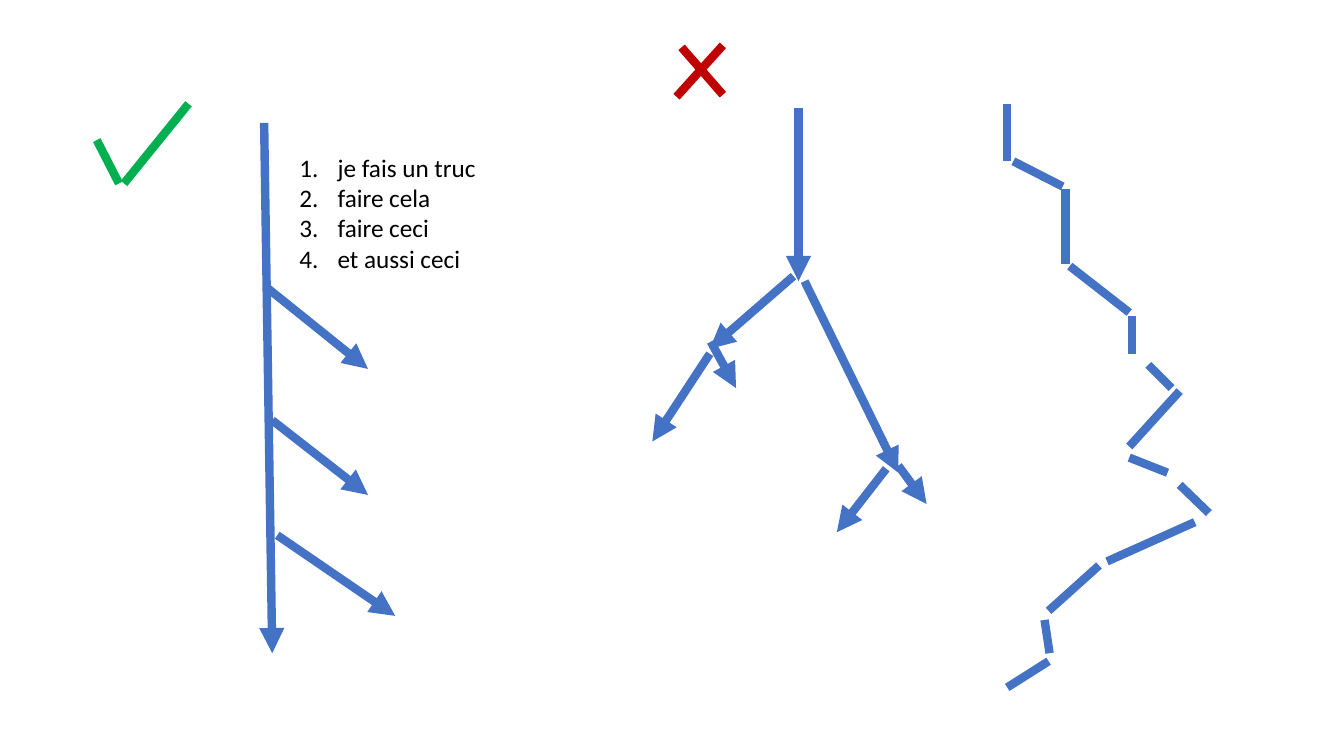
from dataclasses import dataclass

from lxml.etree import SubElement
from pptx import Presentation
from pptx.dml.color import RGBColor
from pptx.enum.shapes import MSO_CONNECTOR as Connector
from pptx.enum.text import MSO_AUTO_SIZE as AutoSize
from pptx.oxml.ns import qn
from pptx.util import Inches, Pt


@dataclass(frozen=True)
class Theme:
    font: str = "Calibri"
    text_size: int = 18
    line_width: int = 6
    text: str = "000000"
    flow: str = "4472C4"
    good: str = "00B050"
    bad: str = "C00000"


THEME = Theme()

STEPS = ["je fais un truc", "faire cela", "faire ceci", "et aussi ceci"]

# Strokes are (start x, start y, end x, end y) in inches
TICK = [(0.96, 1.39, 1.18, 1.82), (1.23, 1.82, 1.87, 1.03)]
CROSS = [(6.76, 0.47, 7.17, 0.94), (7.17, 0.45, 6.71, 0.96)]
MAIN_PATH = [
    (2.62, 1.22, 2.70, 6.48),
    (2.63, 2.84, 3.65, 3.66),
    (2.70, 4.17, 3.65, 4.91),
    (2.75, 5.31, 3.92, 6.11),
]
BRANCHING_TREE = [
    (7.92, 1.07, 7.92, 2.79),
    (7.87, 2.74, 7.04, 3.46),
    (7.98, 2.79, 8.91, 4.69),
    (7.04, 3.51, 6.47, 4.38),
    (7.05, 3.39, 7.30, 3.85),
    (8.79, 4.65, 8.30, 5.28),
    (8.91, 4.62, 9.19, 5.00),
]
WANDERING_PATH = [
    (9.99, 1.03, 9.99, 1.60),
    (10.05, 1.60, 10.54, 1.85),
    (10.57, 1.88, 10.57, 2.62),
    (10.61, 2.64, 11.20, 3.10),
    (11.23, 3.14, 11.23, 3.51),
    (11.39, 3.62, 11.62, 3.85),
    (11.70, 3.88, 11.20, 4.43),
    (11.20, 4.54, 11.58, 4.69),
    (11.70, 4.81, 11.99, 5.09),
    (11.85, 5.18, 10.98, 5.57),
    (10.90, 5.61, 10.40, 6.06),
    (10.36, 6.15, 10.41, 6.48),
    (10.40, 6.56, 9.99, 6.82),
]


def add_text(paragraph, text, *, size=THEME.text_size, color=THEME.text):
    run = paragraph.add_run()
    run.text = text
    run.font.name = THEME.font
    run.font.size = Pt(size)
    run.font.color.rgb = RGBColor.from_string(color)


def number_paragraph(paragraph, indent):
    properties = paragraph._p.get_or_add_pPr()
    properties.set("marL", str(indent))
    properties.set("indent", str(-indent))
    SubElement(properties, qn("a:buFont"), typeface="+mj-lt")
    SubElement(properties, qn("a:buAutoNum"), type="arabicPeriod")


def add_numbered_list(slide, items, left, top, width, height):
    box = slide.shapes.add_textbox(
        Inches(left), Inches(top), Inches(width), Inches(height))
    frame = box.text_frame
    frame.word_wrap = False
    frame.auto_size = AutoSize.SHAPE_TO_FIT_TEXT
    for index, item in enumerate(items):
        paragraph = frame.add_paragraph() if index else frame.paragraphs[0]
        number_paragraph(paragraph, Inches(0.38))
        add_text(paragraph, item)


def add_strokes(slide, strokes, color, arrow=False):
    for stroke in strokes:
        connector = slide.shapes.add_connector(
            Connector.STRAIGHT, *(Inches(value) for value in stroke))
        connector.line.color.rgb = RGBColor.from_string(color)
        connector.line.width = Pt(THEME.line_width)
        if arrow:
            SubElement(connector.line._get_or_add_ln(), qn("a:tailEnd"),
                       type="triangle")
        SubElement(connector._element.spPr, qn("a:effectLst"))


def main():
    presentation = Presentation()
    presentation.slide_width = Inches(13.33)
    presentation.slide_height = Inches(7.5)
    slide = presentation.slides.add_slide(presentation.slide_layouts[6])

    # Good way: one main path with short side branches
    add_numbered_list(slide, STEPS, 2.87, 1.46, 1.97, 1.92)
    add_strokes(slide, MAIN_PATH, THEME.flow, arrow=True)

    # Bad ways: a tree that keeps splitting, and a path that wanders
    add_strokes(slide, BRANCHING_TREE, THEME.flow, arrow=True)
    add_strokes(slide, CROSS, THEME.bad)
    add_strokes(slide, TICK, THEME.good)
    add_strokes(slide, WANDERING_PATH, THEME.flow)

    presentation.save("out.pptx")


if __name__ == "__main__":
    main()
